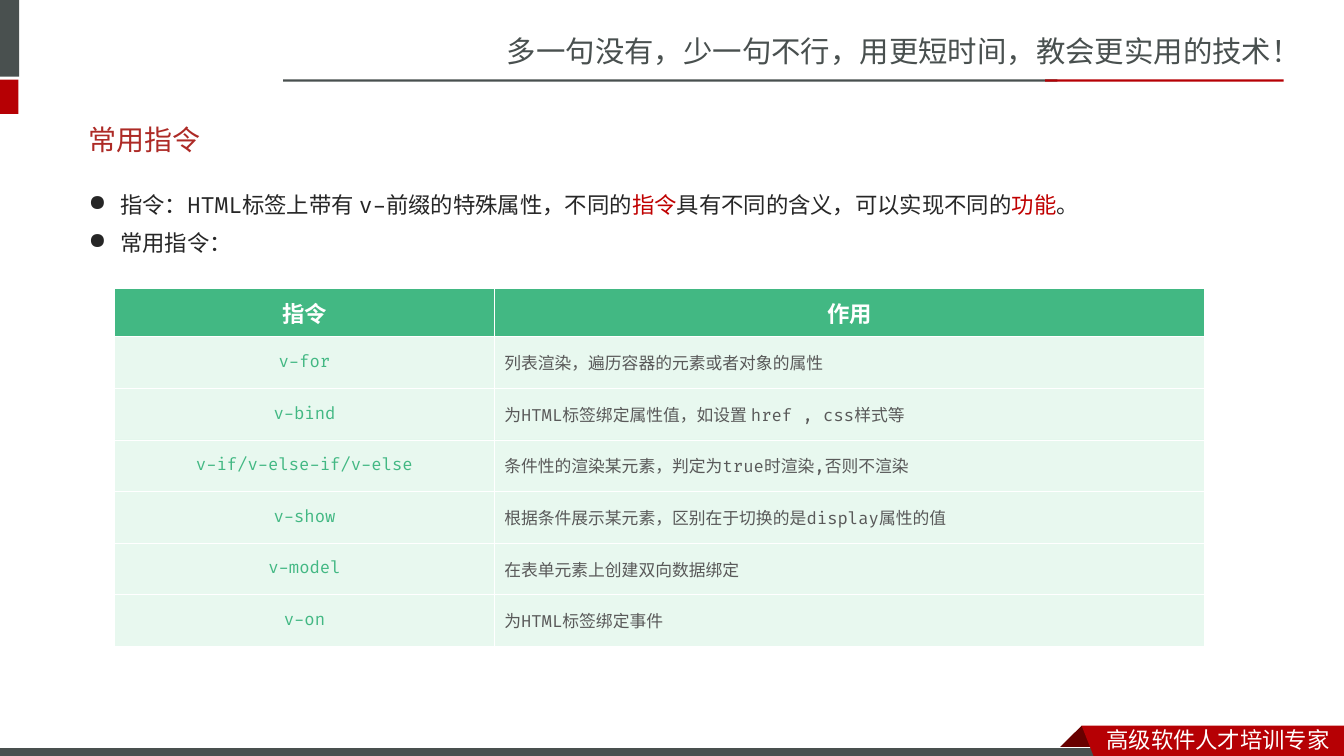
from lxml import etree
from pptx import Presentation
from pptx.dml.color import RGBColor
from pptx.enum.shapes import MSO_SHAPE
from pptx.enum.text import MSO_ANCHOR, PP_ALIGN
from pptx.oxml.ns import qn
from pptx.util import Pt

RECTANGLE = MSO_SHAPE.RECTANGLE
MIDDLE = MSO_ANCHOR.MIDDLE
TOP = MSO_ANCHOR.TOP
CENTER = PP_ALIGN.CENTER
LEFT = PP_ALIGN.LEFT

CHINESE_FONT = "Noto Sans CJK SC"
CODE_FONT = "Fira Code"
COLORS = {
    "gray": "49504F", "red": "B60004", "dark red": "680000", "white": "FFFFFF",
    "title": "AD2A26", "body": "262626", "highlight": "C00000",
    "green": "42B883", "pale green": "97E2B8", "cell text": "595959",
}
DIRECTIVES = [
    ("v-for", "列表渲染，遍历容器的元素或者对象的属性"),
    ("v-bind", "为HTML标签绑定属性值，如设置 href , css样式等"),
    ("v-if/v-else-if/v-else", "条件性的渲染某元素，判定为true时渲染,否则不渲染"),
    ("v-show", "根据条件展示某元素，区别在于切换的是display属性的值"),
    ("v-model", "在表单元素上创建双向数据绑定"),
    ("v-on", "为HTML标签绑定事件"),
]


def color(name):
    return RGBColor.from_string(COLORS[name])


def set_font(paragraph, font_name, size, color_name, bold=False):
    font = paragraph.font
    font.name = font_name
    font.size = Pt(size)
    font.bold = bold
    font.color.rgb = color(color_name)
    properties = paragraph._p.pPr.find(qn("a:defRPr"))
    east_asian = etree.SubElement(properties, qn("a:ea"))
    east_asian.set("typeface", CHINESE_FONT)


def paint(shape, fill, line=None):
    shape.shadow.inherit = False
    shape.fill.solid()
    shape.fill.fore_color.rgb = color(fill)
    if line:
        shape.line.color.rgb = color(line)
        shape.line.width = Pt(0.75)
    else:
        shape.line.fill.background()


def add_bar(slide, left, top, width, height, fill, line=None):
    bar = slide.shapes.add_shape(RECTANGLE, Pt(left), Pt(top), Pt(width), Pt(height))
    paint(bar, fill, line)


def add_polygon(slide, points, fill):
    start, *others = [(Pt(x), Pt(y)) for x, y in points]
    builder = slide.shapes.build_freeform(*start)
    builder.add_line_segments(others, close=True)
    paint(builder.convert_to_shape(), fill)


def add_text_box(slide, left, top, width, height, anchor=TOP):
    box = slide.shapes.add_textbox(Pt(left), Pt(top), Pt(width), Pt(height))
    box.text_frame.word_wrap = True
    box.text_frame.vertical_anchor = anchor
    return box.text_frame


def add_line_of_text(slide, bounds, text, font_name, size, color_name, anchor=TOP):
    paragraph = add_text_box(slide, *bounds, anchor).paragraphs[0]
    paragraph.text = text
    set_font(paragraph, font_name, size, color_name)


def write_bullet(paragraph, parts):
    """Fill a bulleted paragraph; every second part is highlighted."""
    properties = paragraph._p.get_or_add_pPr()
    properties.set("marL", str(Pt(22.5)))
    properties.set("indent", str(-Pt(22.5)))
    etree.SubElement(properties, qn("a:buChar")).set("char", "●")
    paragraph.line_spacing = 1.25
    for index, part in enumerate(parts):
        run = paragraph.add_run()
        run.text = part
        if index % 2:
            run.font.color.rgb = color("highlight")
    set_font(paragraph, CODE_FONT, 16, "body")


def add_borders(cell):
    properties = cell._tc.get_or_add_tcPr()
    for index, side in enumerate(("lnL", "lnR", "lnT", "lnB")):
        border = etree.Element(qn(f"a:{side}"), w=str(Pt(0.5)))
        fill = etree.SubElement(border, qn("a:solidFill"))
        etree.SubElement(fill, qn("a:srgbClr"), val=COLORS["white"])
        properties.insert(index, border)


def write_cell(cell, text, size, color_name, align, fill, opacity=100, bold=False):
    cell.vertical_anchor = MIDDLE
    cell.fill.solid()
    cell.fill.fore_color.rgb = color(fill)
    if opacity < 100:
        fill_color = cell._tc.tcPr.find(".//" + qn("a:srgbClr"))
        etree.SubElement(fill_color, qn("a:alpha"), val=str(opacity * 1000))
    add_borders(cell)
    paragraph = cell.text_frame.paragraphs[0]
    paragraph.text = text
    paragraph.alignment = align
    set_font(paragraph, CODE_FONT, size, color_name, bold)


def add_directive_table(slide):
    widths = (271, 507.5)
    header_height, row_height = 34.8, 36.85
    height = header_height + row_height * len(DIRECTIVES)
    table = slide.shapes.add_table(len(DIRECTIVES) + 1, 2, Pt(82), Pt(205.8),
                                   Pt(sum(widths)), Pt(height)).table
    for column, width in zip(table.columns, widths):
        column.width = Pt(width)
    for row in table.rows:
        row.height = Pt(row_height)
    table.rows[0].height = Pt(header_height)
    for column, heading in enumerate(("指令", "作用")):
        write_cell(table.cell(0, column), heading, 16, "white", CENTER, "green", bold=True)
    for row, (directive, effect) in enumerate(DIRECTIVES, start=1):
        write_cell(table.cell(row, 0), directive, 12, "green", CENTER, "pale green", 21)
        write_cell(table.cell(row, 1), effect, 12, "cell text", LEFT, "pale green", 21)


def add_header(slide):
    add_line_of_text(slide, (355, 20, 605, 34),
                     "多一句没有，少一句不行，用更短时间，教会更实用的技术！",
                     CHINESE_FONT, 21, "gray")
    add_bar(slide, -4.3, 0, 18, 54.7, "gray")
    add_bar(slide, -4.3, 56.9, 17.5, 24.5, "red")
    add_bar(slide, 202.3, 56.7, 553, 1.6, "gray")
    add_bar(slide, 746.6, 56.7, 170.4, 1.6, "red")


def add_footer(slide):
    add_polygon(slide, [(772.6, 518.4), (788.4, 534.2), (787.7, 535), (757.4, 535),
                        (756.7, 534.2)], "dark red")
    add_bar(slide, -0.7, 533.8, 792, 8.6, "gray", "white")
    add_polygon(slide, [(772.6, 518.4), (960, 518.4), (960, 542.9), (782, 542.2)], "red")
    add_line_of_text(slide, (783.2, 514.8, 176.8, 26.6), "高级软件人才培训专家",
                     CHINESE_FONT, 16, "white")


def add_body(slide):
    frame = add_text_box(slide, 56.2, 128.2, 842.4, 66.2)
    write_bullet(frame.paragraphs[0], [
        "指令：HTML标签上带有 v-前缀的特殊属性，不同的", "指令",
        "具有不同的含义，可以实现不同的", "功能", "。"])
    second = frame.add_paragraph()
    write_bullet(second, ["常用指令："])
    second.space_before = Pt(3.2)


def main():
    presentation = Presentation()
    presentation.slide_width = Pt(960)
    presentation.slide_height = Pt(540)
    slide = presentation.slides.add_slide(presentation.slide_layouts[6])
    add_header(slide)
    add_footer(slide)
    add_line_of_text(slide, (56.2, 79.2, 842.4, 41), "常用指令", "Arial", 20, "title", MIDDLE)
    add_body(slide)
    add_directive_table(slide)
    presentation.save("out.pptx")


if __name__ == "__main__":
    main()
